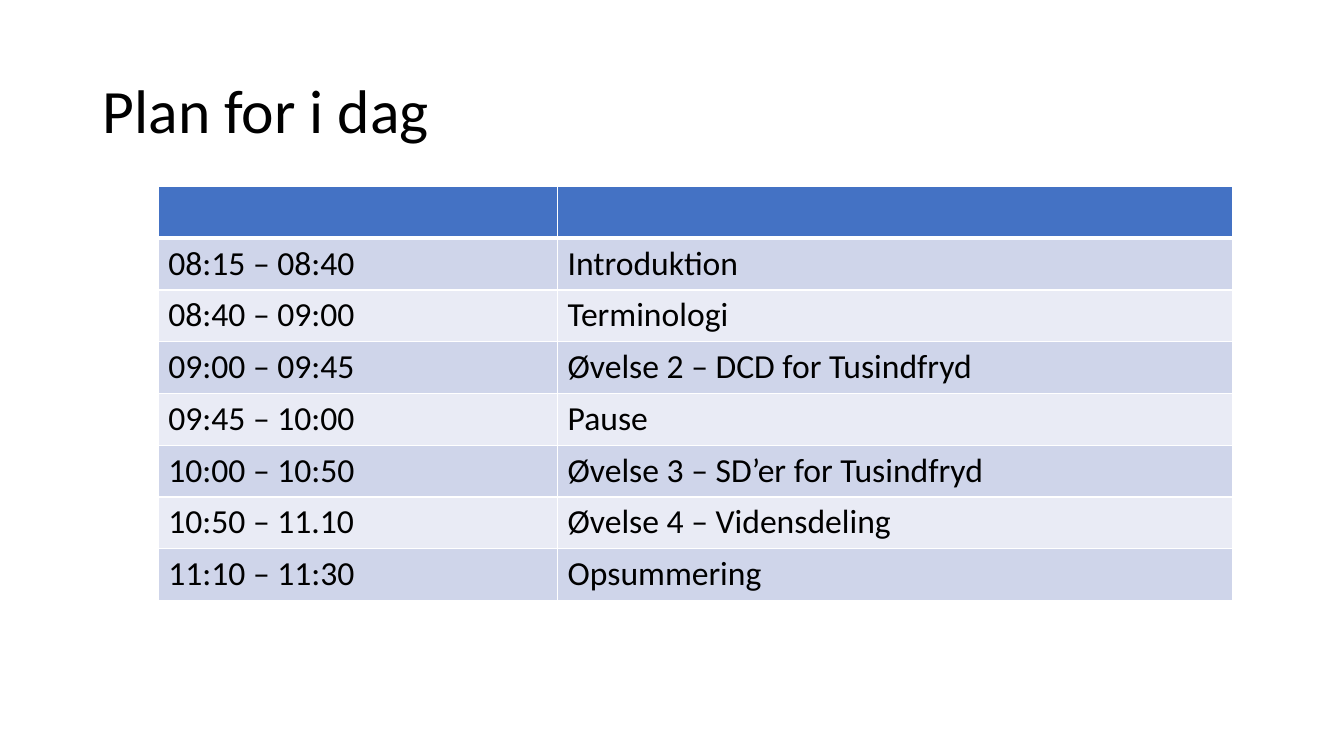
from lxml.etree import SubElement
from pptx import Presentation
from pptx.dml.color import RGBColor
from pptx.enum.text import MSO_ANCHOR
from pptx.oxml.ns import qn
from pptx.util import Inches, Pt

WHITE, BLACK, HEADER = "FFFFFF", "000000", "4472C4"
BANDS = ["CFD5EA", "E9EBF5"]
PLAN = [
    ("", ""),
    ("08:15 – 08:40", "Introduktion"),
    ("08:40 – 09:00", "Terminologi"),
    ("09:00 – 09:45", "Øvelse 2 – DCD for Tusindfryd"),
    ("09:45 – 10:00", "Pause"),
    ("10:00 – 10:50", "Øvelse 3 – SD’er for Tusindfryd"),
    ("10:50 – 11.10", "Øvelse 4 – Vidensdeling"),
    ("11:10 – 11:30", "Opsummering"),
]


def write(paragraph, text, size):
    """Add black Calibri text to a paragraph."""
    run = paragraph.add_run()
    run.text = text
    for name, value in {"name": "Calibri", "size": Pt(size), "bold": False}.items():
        setattr(run.font, name, value)
    run.font.color.rgb = RGBColor.from_string(BLACK)


def add_borders(cell, widths):
    """Draw white cell borders, given as side and width in points."""
    properties = cell._tc.get_or_add_tcPr()
    for side, width in widths.items():
        line = SubElement(properties, qn(f"a:ln{side}"), w=str(Pt(width)))
        SubElement(SubElement(line, qn("a:solidFill")), qn("a:srgbClr"), val=WHITE)


deck = Presentation()
deck.slide_width, deck.slide_height = Inches(13.33), Inches(7.5)
slide = deck.slides.add_slide(deck.slide_layouts[6])

heading = slide.shapes.add_textbox(
    Inches(0.92), Inches(0.4), Inches(11.5), Inches(1.45)).text_frame
heading.word_wrap = True
heading.vertical_anchor = MSO_ANCHOR.MIDDLE
heading.paragraphs[0].line_spacing = 0.9
write(heading.paragraphs[0], "Plan for i dag", 44)

schedule = slide.shapes.add_table(
    len(PLAN), 2, Inches(1.57), Inches(1.85), Inches(10.66), Inches(4.11)).table
for column, width in zip(schedule.columns, (3.96, 6.7)):
    column.width = Inches(width)

for row, entry in enumerate(PLAN):
    top = 3 if row == 1 else 1
    bottom = 3 if row == 0 else 1
    for column, text in enumerate(entry):
        cell = schedule.cell(row, column)
        add_borders(cell, {"L": 1, "R": 1, "T": top, "B": bottom})
        cell.fill.solid()
        cell.fill.fore_color.rgb = RGBColor.from_string(
            BANDS[(row - 1) % 2] if row else HEADER)
        if text:
            write(cell.text_frame.paragraphs[0], text, 24)

deck.save("out.pptx")
